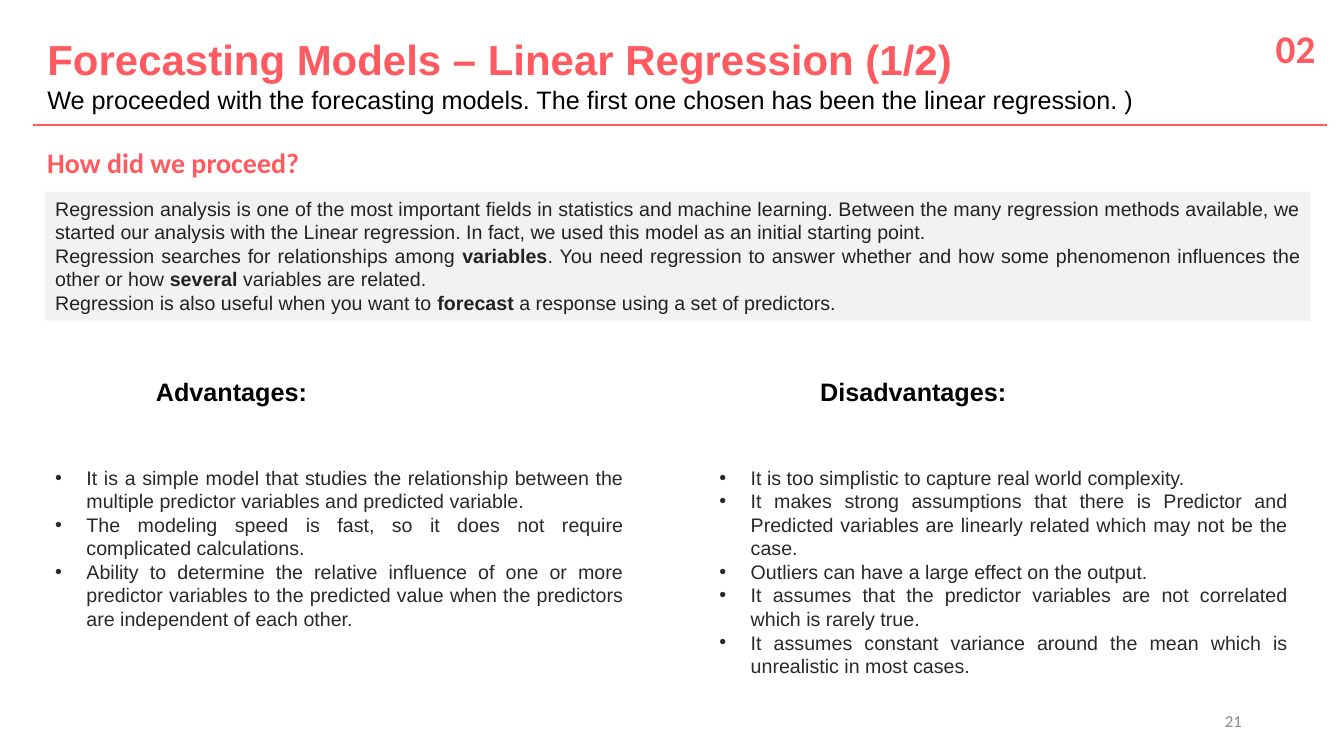
from lxml.etree import SubElement
from pptx import Presentation
from pptx.dml.color import RGBColor
from pptx.enum.shapes import MSO_CONNECTOR, MSO_SHAPE
from pptx.enum.text import MSO_ANCHOR, MSO_AUTO_SIZE, PP_ALIGN
from pptx.oxml.ns import qn
from pptx.util import Cm, Pt

CORAL = RGBColor(0xFF, 0x5A, 0x60)
BLACK = RGBColor(0, 0, 0)
INK = RGBColor(0x22, 0x22, 0x22)
BULLET_INK = RGBColor(0x29, 0x29, 0x29)
GREY = RGBColor(0x88, 0x88, 0x88)
PANEL = RGBColor(0xF2, 0xF2, 0xF2)

# Asterisks enclose bold words
INTRODUCTION = [
    "Regression analysis is one of the most important fields in statistics and machine learning. "
    "Between the many regression methods available, we started our analysis with the Linear "
    "regression. In fact, we used this model as an initial starting point.",
    "Regression searches for relationships among *variables*. You need regression to answer whether "
    "and how some phenomenon influences the other or how *several* variables are related.",
    "Regression is also useful when you want to *forecast* a response using a set of predictors.",
]
ADVANTAGES = [
    "It is a simple model that studies the relationship between the multiple predictor variables "
    "and predicted variable.",
    "The modeling speed is fast, so it does not require complicated calculations.",
    "Ability to determine the relative influence of one or more predictor variables to the "
    "predicted value when the predictors are independent of each other.",
]
DISADVANTAGES = [
    "It is too simplistic to capture real world complexity.",
    "It makes strong assumptions that there is Predictor and Predicted variables are linearly "
    "related which may not be the case.",
    "Outliers can have a large effect on the output.",
    "It assumes that the predictor variables are not correlated which is rarely true.",
    "It assumes constant variance around the mean which is unrealistic in most cases.",
]


def add_span(para, text, size, color, font="Arial", bold=False):
    span = para.add_run()
    span.text = text
    span.font.name = font
    span.font.size = Pt(size)
    span.font.bold = bold
    span.font.color.rgb = color


def add_bullet(para, color):
    properties = para._p.get_or_add_pPr()
    properties.set("marL", str(Cm(0.79)))
    properties.set("indent", str(-Cm(0.79)))
    bullet_color = SubElement(properties, qn("a:buClr"))
    SubElement(bullet_color, qn("a:srgbClr")).set("val", str(color))
    SubElement(properties, qn("a:buFont")).set("typeface", "Arial")
    SubElement(properties, qn("a:buChar")).set("char", "•")


def write_text(box, lines, size=14, color=BLACK, font="Arial", bold=False,
               align=PP_ALIGN.LEFT, anchor=MSO_ANCHOR.TOP, wrap=True, bullets=False):
    frame = box.text_frame
    frame.word_wrap = wrap
    frame.vertical_anchor = anchor
    for index, line in enumerate(lines):
        para = frame.add_paragraph() if index else frame.paragraphs[0]
        para.alignment = align
        if bullets:
            add_bullet(para, color)
        for part, text in enumerate(line.split("*")):
            add_span(para, text, size, color, font, bold or part % 2 == 1)


def add_label(page, left, top, width, height, lines, **style):
    box = page.shapes.add_textbox(Cm(left), Cm(top), Cm(width), Cm(height))
    write_text(box, lines, **style)


def add_panel(page, left, top, width, height, lines, **style):
    panel = page.shapes.add_shape(MSO_SHAPE.RECTANGLE, Cm(left), Cm(top), Cm(width), Cm(height))
    panel.shadow.inherit = False
    panel.fill.solid()
    panel.fill.fore_color.rgb = PANEL
    panel.line.fill.background()
    write_text(panel, lines, **style)


def add_rule(page, left, right, top):
    rule = page.shapes.add_connector(MSO_CONNECTOR.STRAIGHT, Cm(left), Cm(top), Cm(right), Cm(top))
    rule.line.color.rgb = CORAL
    rule.line.width = Pt(1.5)
    SubElement(rule._element.spPr, qn("a:effectLst"))


def set_title(page, heading, subtitle):
    title = page.shapes.title
    title.left, title.top, title.width, title.height = Cm(0.94), Cm(0.97), Cm(32.13), Cm(1.78)
    frame = title.text_frame
    frame.auto_size = MSO_AUTO_SIZE.NONE
    frame.vertical_anchor = MSO_ANCHOR.MIDDLE
    para = frame.paragraphs[0]
    para.alignment = PP_ALIGN.LEFT
    add_span(para, heading, 30, CORAL, bold=True)
    para.add_line_break()
    add_span(para, subtitle, 18, BLACK)


def add_column(page, left, heading, heading_width, points):
    add_label(page, left + 2.54, 9.35, heading_width, 1.02, [heading], size=18, bold=True,
              align=PP_ALIGN.JUSTIFY)
    add_label(page, left, 11.61, 14.83, 5.64, points, color=BULLET_INK,
              align=PP_ALIGN.JUSTIFY, bullets=True)


def main():
    deck = Presentation()
    deck.slide_width, deck.slide_height = Cm(33.87), Cm(19.05)
    page = deck.slides.add_slide(deck.slide_layouts[5])

    # Header
    set_title(page, "Forecasting Models – Linear Regression (1/2)",
              "We proceeded with the forecasting models. "
              "The first one chosen has been the linear regression. )")
    add_rule(page, 0.84, 33.43, 3.15)
    add_label(page, 31.9, 0.48, 1.52, 1.45, ["02"], size=28, color=CORAL, font="Calibri",
              bold=True, wrap=False)

    # Introduction
    add_label(page, 0.94, 3.53, 10.06, 1.12, ["How did we proceed?"], size=20, color=CORAL,
              font="Calibri", bold=True)
    add_panel(page, 1.14, 4.83, 31.9, 3.25, INTRODUCTION, color=INK, align=PP_ALIGN.JUSTIFY)

    # Comparison columns
    add_column(page, 1.14, "Advantages:", 4.42, ADVANTAGES)
    add_column(page, 17.88, "Disadvantages:", 5.21, DISADVANTAGES)

    # Page number
    add_label(page, 23.93, 17.65, 7.62, 1.02, ["21"], size=12, color=GREY, font="Calibri",
              align=PP_ALIGN.RIGHT, anchor=MSO_ANCHOR.MIDDLE)

    deck.save("out.pptx")


if __name__ == "__main__":
    main()
